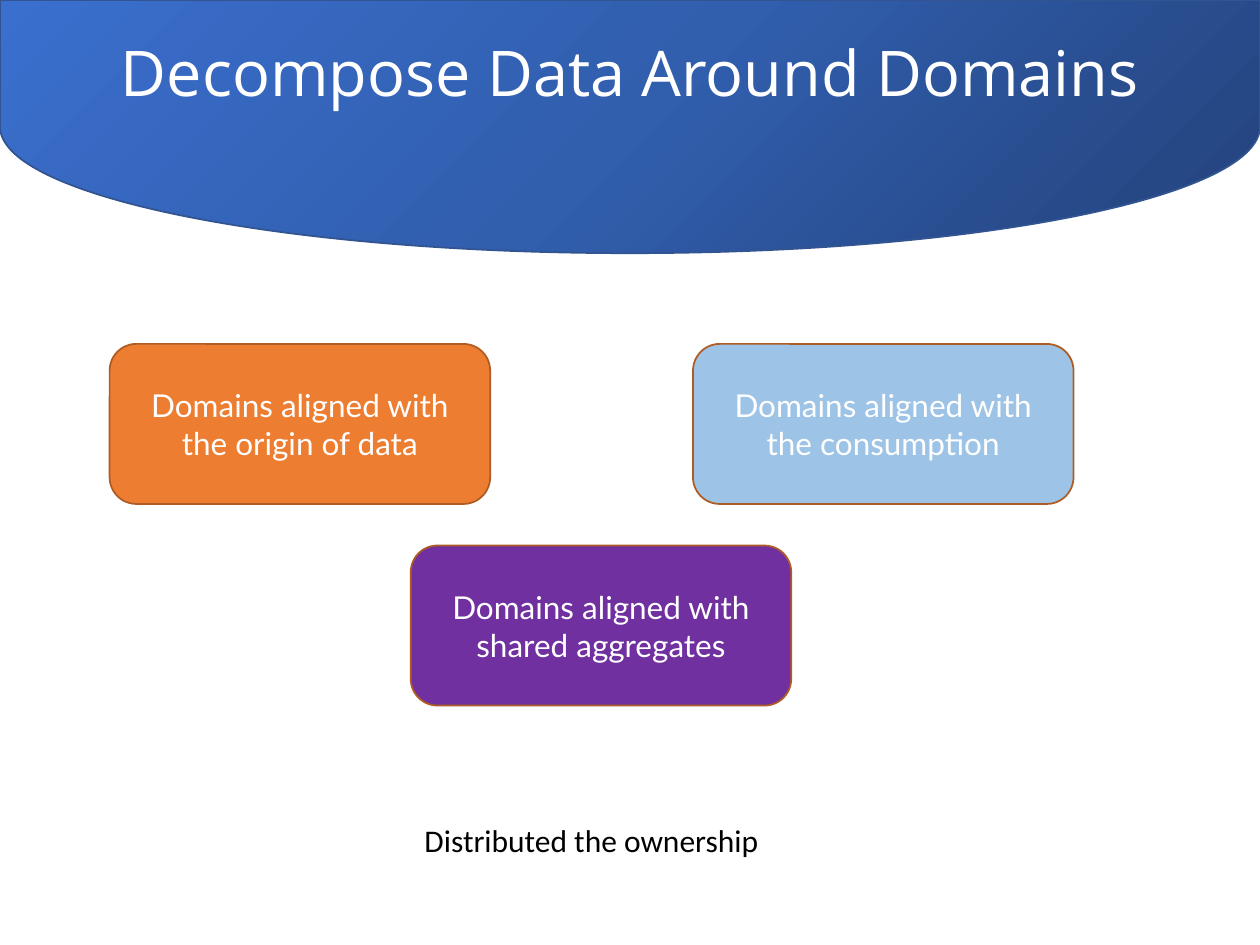
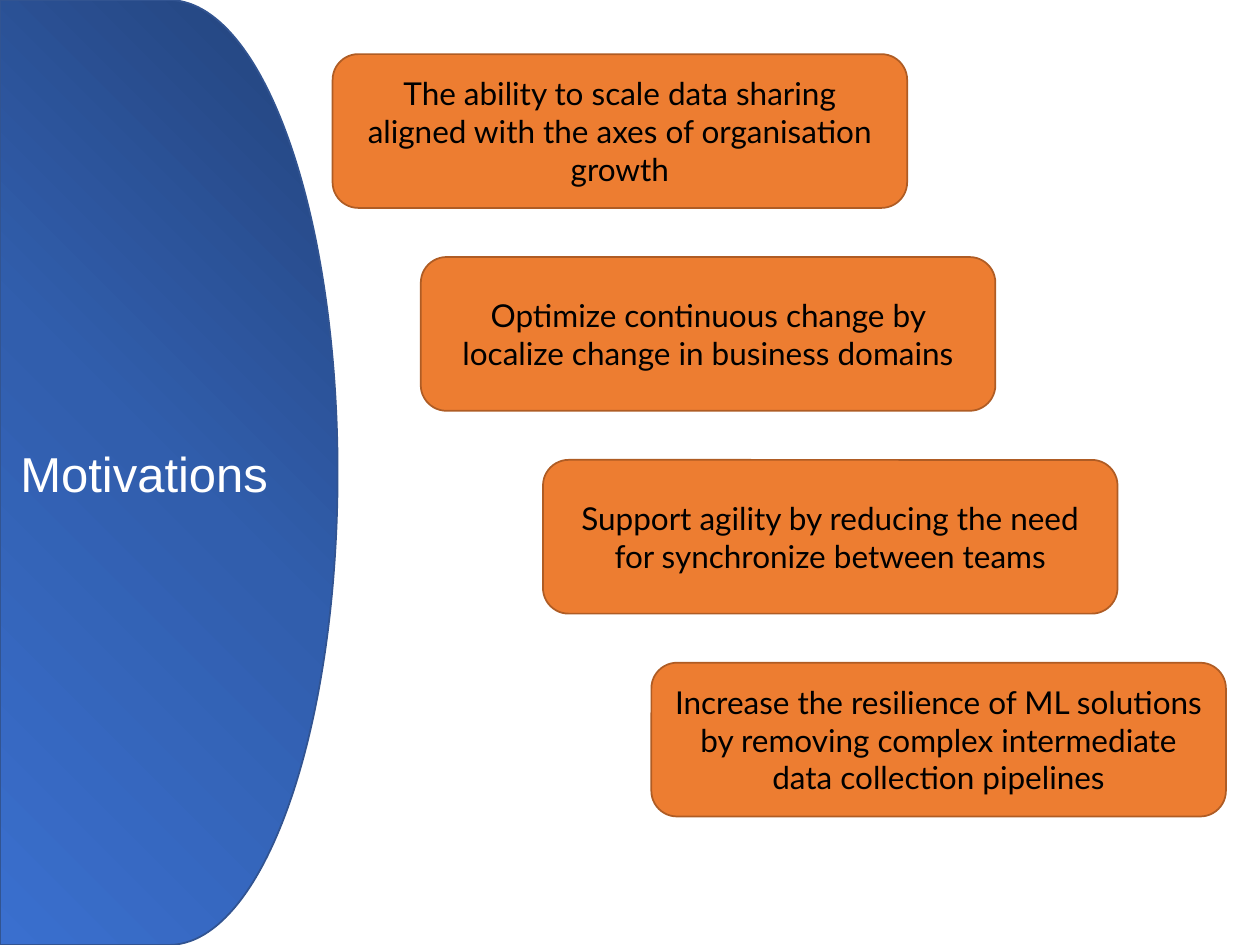
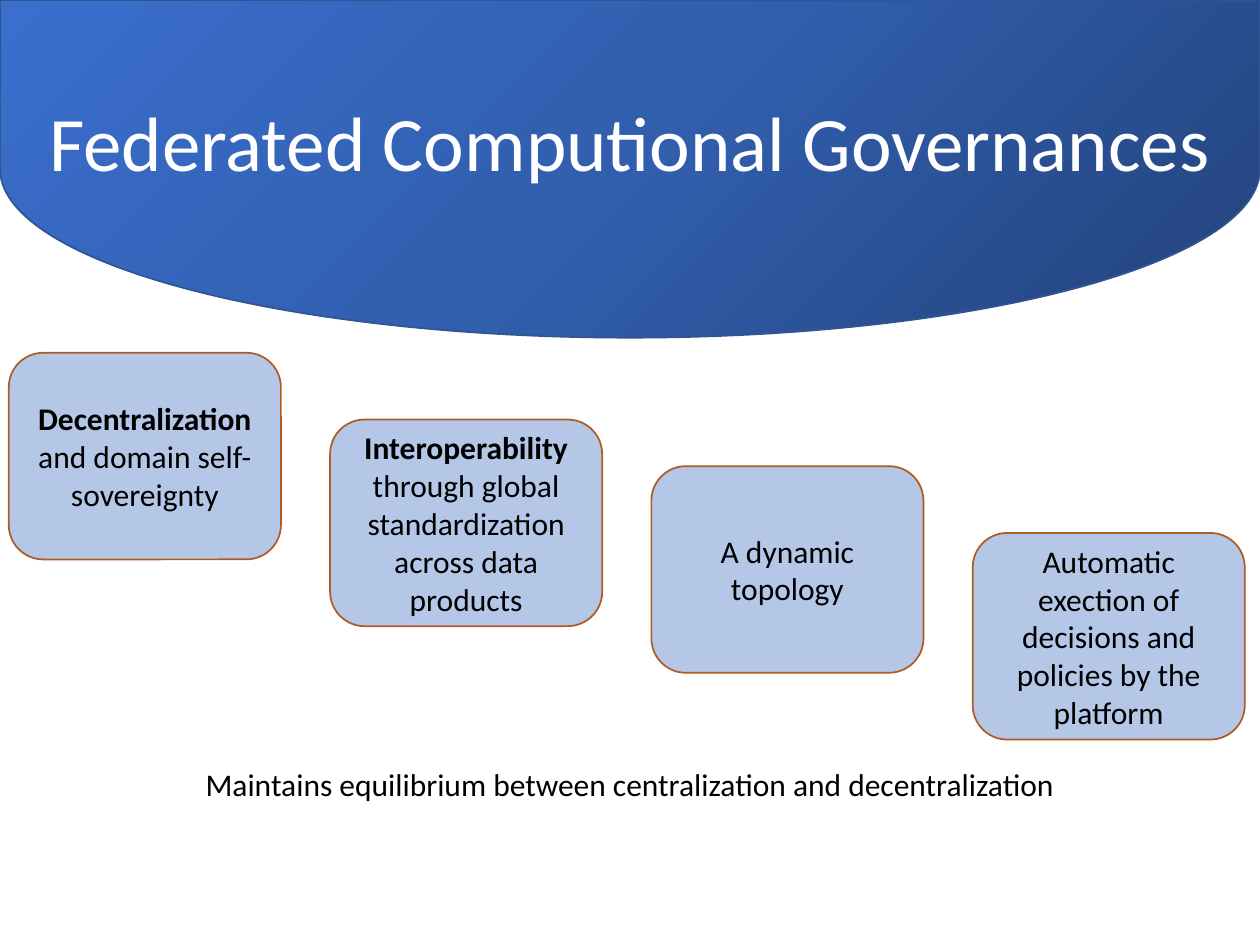
from copy import deepcopy
from dataclasses import dataclass

from pptx import Presentation
from pptx import util as u
from pptx.dml.color import RGBColor
from pptx.enum import shapes, text
from pptx.oxml.ns import qn


@dataclass(frozen=True)
class Theme:
    white: str = "FFFFFF"
    black: str = "000000"
    orange: str = "ED7D31"
    purple: str = "7030A0"
    sky: str = "9DC3E6"
    pale: str = "B4C7E7"
    box_line: str = "AF5C24"
    band_line: str = "325491"
    band_stops: tuple = ((0, "23427A"), (0.5, "315EAD"), (1, "3A6FCE"))
    line_width: int = 1
    body_size: int = 18
    side_title_size: int = 28
    title_size: int = 36
    large_title_size: int = 44
    box_font: str = "Lato"
    body_font: str = "Calibri"
    title_font: str = "Open Sans"
    side_font: str = "Arial"


T = Theme()
SLIDE_W, SLIDE_H = 10, 7.5


def rgb(color):
    return RGBColor.from_string(color)


def write(tf, runs, size, font, color):
    tf.word_wrap = True
    p = tf.paragraphs[0]
    p.alignment = text.PP_ALIGN.CENTER
    for words, bold in runs:
        r = p.add_run()
        r.text = words
        r.font.size = u.Pt(size)
        r.font.name = font
        r.font.bold = bold
        r.font.color.rgb = rgb(color)


def add_shape(s, kind, left, top, width, height, line):
    sp = s.shapes.add_shape(kind, *map(u.Inches, (left, top, width, height)))
    sp.shadow.inherit = False
    sp.line.color.rgb = rgb(line)
    sp.line.width = u.Pt(T.line_width)
    sp.text_frame.vertical_anchor = text.MSO_ANCHOR.MIDDLE
    return sp


def add_box(s, at, runs, fill, color=T.black, font=T.box_font):
    sp = add_shape(s, shapes.MSO_SHAPE.ROUNDED_RECTANGLE, *at, T.box_line)
    sp.fill.solid()
    sp.fill.fore_color.rgb = rgb(fill)
    write(sp.text_frame, runs, T.body_size, font, color)


def add_text(s, at, words, size=T.body_size, font=T.body_font, color=T.black):
    tf = s.shapes.add_textbox(*map(u.Inches, at)).text_frame
    write(tf, [(words, False)], size, font, color)
    tf.auto_size = text.MSO_AUTO_SIZE.SHAPE_TO_FIT_TEXT


def add_band(s, left, top, depth, length):
    sp = add_shape(s, shapes.MSO_SHAPE.FLOWCHART_DELAY,
                   left, top, depth, length, T.band_line)
    sp.fill.gradient()
    gs_list = sp._element.spPr.find(".//" + qn("a:gsLst"))
    gs_list.insert(1, deepcopy(gs_list[0]))
    for stop, (position, color) in zip(sp.fill.gradient_stops, T.band_stops):
        stop.position = position
        stop.color.rgb = rgb(color)
    sp.fill.gradient_angle = 225
    return sp


def add_top_band(s, depth):
    left = (SLIDE_W - depth) / 2
    add_band(s, left, -left, depth, SLIDE_W).rotation = 90


def add_side_band(s, depth, title):
    sp = add_band(s, 0, 0, depth, SLIDE_H)
    write(sp.text_frame, [(title, False)], T.side_title_size, T.side_font, T.white)


def build_domains(s):
    domains = [
        (0.87, 2.73, "Domains aligned with the origin of data", T.orange),
        (3.26, 4.33, "Domains aligned with shared aggregates", T.purple),
        (5.5, 2.73, "Domains aligned with the consumption", T.sky),
    ]
    for left, top, words, fill in domains:
        add_box(s, (left, top, 3.02, 1.27), [(words, False)], fill, T.white)
    add_text(s, (0.87, 6.47, 7.65, 0.4), "Distributed the ownership")
    add_top_band(s, 2.01)
    add_text(s, (0, 0.22, SLIDE_W, 0.71), "Decompose Data Around Domains",
             T.title_size, T.title_font, T.white)


def build_motivations(s):
    motivations = [
        (2.64, "The ability to scale data sharing aligned with the axes of organisation growth"),
        (3.34, "Optimize continuous change by localize change in business domains"),
        (4.31, "Support agility by reducing the need for synchronize between teams"),
        (5.17, "Increase the resilience of ML solutions by removing complex "
               "intermediate data collection pipelines"),
    ]
    for row, (left, words) in enumerate(motivations):
        add_box(s, (left, 0.43 + row * 1.61, 4.56, 1.22), [(words, False)], T.orange)
    add_side_band(s, 2.68, "Motivations")


def build_governance(s):
    add_top_band(s, 2.68)
    add_text(s, (0, 0.7, SLIDE_W, 0.84), "Federated Computional Governances",
             T.large_title_size, T.body_font, T.white)
    add_text(s, (0, 6.02, SLIDE_W, 0.4),
             "Maintains equilibrium between centralization and decentralization")
    principles = [
        (2.8, [("Decentralization", True), (" and domain self-sovereignty", False)]),
        (3.33, [("Interoperability ", True),
                ("through global standardization across data products", False)]),
        (3.7, [("A dynamic topology", False)]),
        (4.23, [("Automatic exection of decisions and policies by the platform", False)]),
    ]
    for column, (top, runs) in enumerate(principles):
        add_box(s, (0.07 + column * 2.55, top, 2.16, 1.64), runs, T.pale,
                font=T.body_font)


def main():
    prs = Presentation()
    prs.slide_width, prs.slide_height = u.Inches(SLIDE_W), u.Inches(SLIDE_H)
    for build in (build_domains, build_motivations, build_governance):
        build(prs.slides.add_slide(prs.slide_layouts[6]))
    prs.save("out.pptx")


if __name__ == "__main__":
    main()
